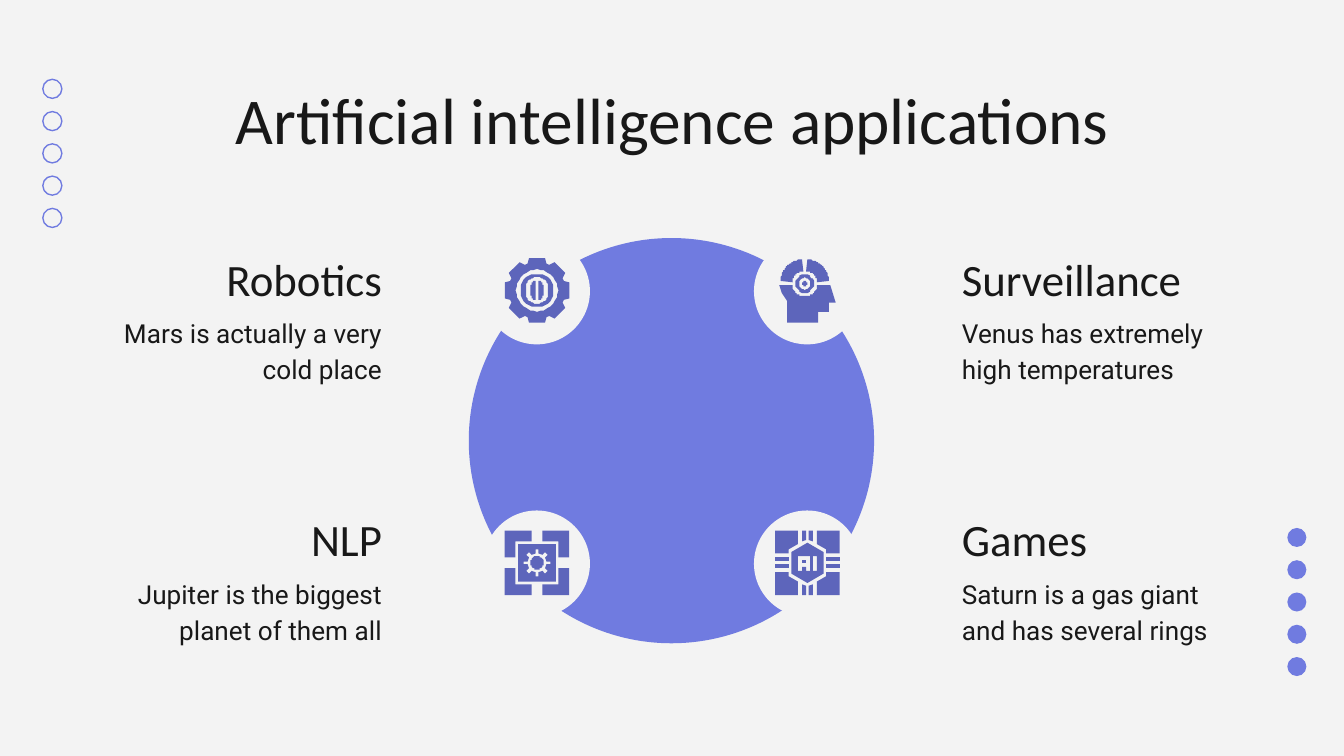
from itertools import product
from math import cos, radians, sin

from pptx import Presentation
from pptx.dml.color import RGBColor
from pptx.enum.shapes import MSO_SHAPE
from pptx.enum.text import MSO_ANCHOR, MSO_AUTO_SIZE, PP_ALIGN
from pptx.util import Cm, Pt

THEME = {
    "background": RGBColor.from_string("F3F3F3"),
    "accent": RGBColor.from_string("707BE0"),
    "icon": RGBColor.from_string("5D65BB"),
    "text": RGBColor.from_string("181818"),
    "title": {"name": "Calibri", "size": Pt(35)},
    "heading": {"name": "Calibri", "size": Pt(24)},
    "body": {"name": "Roboto", "size": Pt(14)},
    "outline": Pt(0.75),
}
ICON_SIZE = 48
ICON_UNIT = Cm(0.0254)


def arc(center_x, center_y, radius_x, radius_y, start=0, end=360, steps=36):
    angles = [radians(start + (end - start) * step / steps) for step in range(steps + 1)]
    return [(center_x + radius_x * cos(angle), center_y + radius_y * sin(angle)) for angle in angles]


def gear(root, tip, root_half, tip_half):
    corners = [(root, -root_half), (tip, -tip_half), (tip, tip_half), (root, root_half)]
    return [
        (24 + radius * cos(radians(tooth + offset)), 24 + radius * sin(radians(tooth + offset)))
        for tooth in range(0, 360, 45)
        for radius, offset in corners
    ]


presentation = Presentation()
presentation.slide_width = Cm(25.4)
presentation.slide_height = Cm(14.29)
slide = presentation.slides.add_slide(presentation.slide_layouts[5])
slide.background.fill.solid()
slide.background.fill.fore_color.rgb = THEME["background"]

columns = [
    {"text": 1.98, "badge": 9.14, "align": PP_ALIGN.RIGHT},
    {"text": 17.93, "badge": 14.25, "align": PP_ALIGN.LEFT},
]
rows = [
    {"heading": 4.62, "body": 5.66, "badge": 4.5},
    {"heading": 9.53, "body": 10.59, "badge": 9.65},
]
cells = list(product(rows, columns))
applications = [
    ("Robotics", "Mars is actually a very cold place"),
    ("Surveillance", "Venus has extremely high temperatures"),
    ("NLP", "Jupiter is the biggest planet of them all"),
    ("Games", "Saturn is a gas giant and has several rings"),
]

title = slide.shapes.title
for name, value in {"left": 2.01, "top": 1.24, "width": 21.41, "height": 1.6}.items():
    setattr(title, name, Cm(value))
texts = [(title, "Artificial intelligence applications", "title", PP_ALIGN.CENTER, MSO_ANCHOR.TOP, 1.0)]
for (row, column), (heading, body) in zip(cells, applications):
    for style, text, height, anchor in [
        ("heading", heading, 1.4, MSO_ANCHOR.BOTTOM),
        ("body", body, 1.85, MSO_ANCHOR.TOP),
    ]:
        shape = slide.shapes.add_textbox(Cm(column["text"]), Cm(row[style]), Cm(5.49), Cm(height))
        texts.append((shape, text, style, column["align"], anchor, 1.15))

for shape, text, style, alignment, anchor, spacing in texts:
    frame = shape.text_frame
    frame_format = {
        "word_wrap": True,
        "auto_size": MSO_AUTO_SIZE.NONE,
        "vertical_anchor": anchor,
        **dict.fromkeys(["margin_left", "margin_top", "margin_right", "margin_bottom"], Cm(0.25)),
    }
    for name, value in frame_format.items():
        setattr(frame, name, value)
    paragraph = frame.paragraphs[0]
    for name, value in {"alignment": alignment, "line_spacing": spacing}.items():
        setattr(paragraph, name, value)
    run = paragraph.add_run()
    run.text = text
    for name, value in THEME[style].items():
        setattr(run.font, name, value)
    run.font.color.rgb = THEME["text"]

circles = [(24.33, 9.98 + 0.61 * index, 0.36, "accent") for index in range(5)]
circles += [(0.81, 1.5 + 0.61 * index, 0.36, None) for index in range(5)]
circles.append((8.86, 4.5, 7.66, "accent"))
circles += [(column["badge"], row["badge"], 2.01, "background") for row, column in cells]
for left, top, size, fill in circles:
    shape = slide.shapes.add_shape(MSO_SHAPE.OVAL, Cm(left), Cm(top), Cm(size), Cm(size))
    shape.shadow.inherit = False
    if fill:
        shape.fill.solid()
        shape.fill.fore_color.rgb = THEME[fill]
        shape.line.fill.background()
    else:
        shape.fill.background()
        shape.line.color.rgb = THEME["accent"]
        shape.line.width = THEME["outline"]

half_pill = [*arc(25, 22, 4, 5, -90, 0), *arc(25, 26, 4, 5, 0, 90)]
cog_icon = [
    [gear(21, 24.6, 19, 13), arc(24, 24, 15.5, 15.5)],
    [arc(24, 24, 12.5, 12.5), [*arc(24, 22.5, 8.5, 8.5, 180, 360), *arc(24, 25.5, 8.5, 8.5, 0, 180)]],
    [half_pill],
    [[(ICON_SIZE - x, y) for x, y in half_pill]],
]
head_icon = [
    [arc(22, 19, 7, 7), arc(22, 19, 4.5, 4.5)],
    [arc(22, 19, 1.6, 1.6)],
    [[*arc(22, 19, 18.5, 18.5, 186, 264), *arc(22, 19, 9.5, 9.5, 261, 189)]],
    [[*arc(22, 19, 18.5, 18.5, 276, 354), *arc(22, 19, 9.5, 9.5, 351, 279)]],
    [[(3, 20), (5, 26), (9, 32), (9, 48), (32, 48), (32, 40), (40, 40), (40, 33), (45, 33), (41, 20),
      *arc(22, 19, 9.5, 9.5, 8, 172)]],
]
frame_icon = [
    [[(10, 10), (38, 10), (38, 38), (10, 38)], gear(7.2, 10.6, 12, 8)],
    [arc(24, 24, 5, 5)],
]
chip_icon = [
    [
        [(24, 9), (12.5, 16), (12.5, 32), (24, 39), (35.5, 32), (35.5, 16)],
        [(26, 19), (26, 30), (23, 30), (23, 27), (20, 27), (20, 30), (17, 30), (17, 19)],
        [(31, 19), (31, 30), (28.5, 30), (28.5, 19)],
    ],
    [[(20, 21.5), (23, 21.5), (23, 24), (20, 24)]],
]
frame_corner = [(0, 0), (0, 20), (7.5, 20), (7.5, 7.5), (20, 7.5), (20, 0)]
chip_corner = [(0, 0), (0, 17), (10, 17), (10, 14), (17, 10), (17, 0)]
chip_pin = [(20, 0), (20, 8), (23, 7), (23, 0)]
chip_lead = [(0, 20), (10, 20), (10, 23), (0, 23)]
for edge_x, edge_y in product((0, ICON_SIZE), repeat=2):
    for icon, outline in [
        (frame_icon, frame_corner),
        (chip_icon, chip_corner),
        (chip_icon, chip_pin),
        (chip_icon, chip_lead),
    ]:
        icon.append([[(abs(edge_x - x), abs(edge_y - y)) for x, y in outline]])

for (row, column), icon in zip(cells, [cog_icon, head_icon, frame_icon, chip_icon]):
    for contours in icon:
        builder = slide.shapes.build_freeform(*contours[0][0], scale=ICON_UNIT)
        for index, contour in enumerate(contours):
            if index:
                builder.move_to(*contour[0])
            builder.add_line_segments(contour[1:], close=True)
        shape = builder.convert_to_shape(Cm(column["badge"] + 0.4), Cm(row["badge"] + 0.38))
        shape.shadow.inherit = False
        shape.fill.solid()
        shape.fill.fore_color.rgb = THEME["icon"]
        shape.line.fill.background()

presentation.save("out.pptx")
